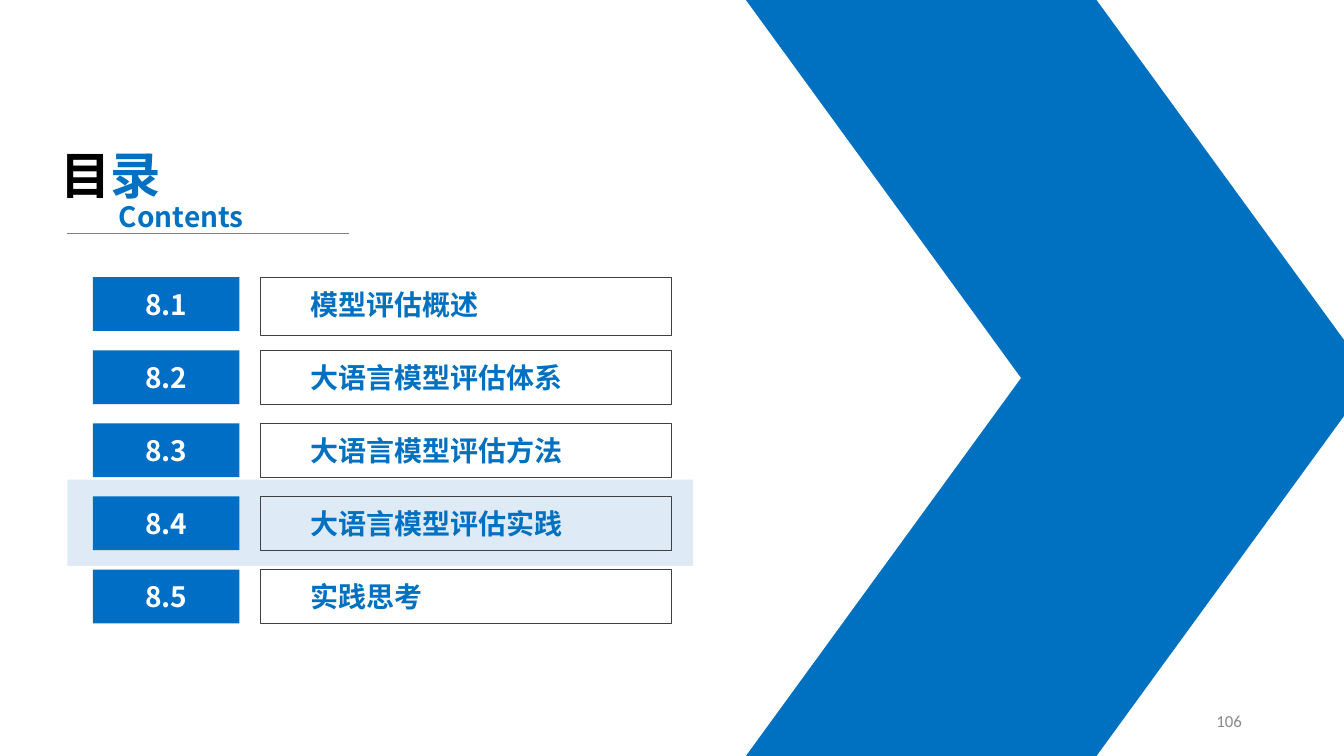
from lxml import etree
from pptx import Presentation
from pptx.dml.color import RGBColor
from pptx.enum.shapes import MSO_CONNECTOR, MSO_SHAPE
from pptx.enum.text import MSO_ANCHOR, MSO_AUTO_SIZE, PP_ALIGN
from pptx.oxml.ns import qn
from pptx.util import Pt

RECTANGLE, PARALLELOGRAM = MSO_SHAPE.RECTANGLE, MSO_SHAPE.PARALLELOGRAM
STRAIGHT = MSO_CONNECTOR.STRAIGHT
TOP, MIDDLE = MSO_ANCHOR.TOP, MSO_ANCHOR.MIDDLE
LEFT, CENTER, RIGHT = PP_ALIGN.LEFT, PP_ALIGN.CENTER, PP_ALIGN.RIGHT
NO_FIT = MSO_AUTO_SIZE.NONE

BLUE = RGBColor(0x00, 0x70, 0xC0)
NUMBER_BLUE = RGBColor(0x00, 0x6E, 0xC5)
PALE_BLUE = RGBColor(0xDE, 0xEB, 0xF7)
FRAME_GREY = RGBColor(0x40, 0x40, 0x40)
RULE_GREY = RGBColor(0x7F, 0x7F, 0x7F)
PAGE_GREY = RGBColor(0x89, 0x89, 0x89)
BLACK = RGBColor(0, 0, 0)
WHITE = RGBColor(255, 255, 255)

CHINESE_FONT, PAGE_FONT = "Noto Sans CJK SC", "Calibri"
CHAPTERS = ["模型评估概述", "大语言模型评估体系", "大语言模型评估方法", "大语言模型评估实践", "实践思考"]
CURRENT = 3
ROW_PITCH, ROW_HEIGHT = 52.2, 38.4


def points(box):
    """Convert a box of plain numbers to lengths in points."""
    return [Pt(value) for value in box]


def write(shape, spans, size, align=LEFT, bold=True, font=CHINESE_FONT, **frame_format):
    """Write one paragraph of (text, colour) spans into a shape."""
    frame = shape.text_frame
    settings = {"word_wrap": True, "auto_size": NO_FIT, "vertical_anchor": TOP, **frame_format}
    for name, value in settings.items():
        setattr(frame, name, value)
    para = frame.paragraphs[0]
    para.alignment = align
    for text, colour in spans:
        span = para.add_run()
        span.text = text
        for name, value in {"size": Pt(size), "bold": bold, "name": font}.items():
            setattr(span.font, name, value)
        span.font.color.rgb = colour
        east_asian = etree.SubElement(span.font._element, qn("a:ea"))
        east_asian.set("typeface", font)


def add_block(page, box, fill=None, line=None, kind=RECTANGLE):
    """Add a flat shape with an optional fill and outline."""
    shape = page.shapes.add_shape(kind, *points(box))
    shape.shadow.inherit = False
    if fill is None:
        shape.fill.background()
    else:
        shape.fill.solid()
        shape.fill.fore_color.rgb = fill
    if line is None:
        shape.line.fill.background()
    else:
        shape.line.color.rgb = line
        shape.line.width = Pt(0.75)
    return shape


def add_chevron(page, box):
    """Build the large arrow from two mirrored parallelograms."""
    left, top, width, height = box
    half = height / 2
    for offset, flipped in ((half, False), (0, True)):
        arm = add_block(page, (left, top + offset, width, half), BLUE, kind=PARALLELOGRAM)
        arm.adjustments[0] = 0.728
        if flipped:
            arm._element.spPr.find(qn("a:xfrm")).set("flipV", "1")


def add_heading(page, box):
    """Place the title, its subtitle and the rule below them."""
    left, top, width, height = box
    title = page.shapes.title
    title.left, title.top, title.width, title.height = points((left, top, 113, 51))
    write(title, [("目", BLACK), ("录", BLUE)], 36)
    subtitle = page.shapes.add_textbox(*points((left + 41.8, top + 39.5, 113, 31.5)))
    write(subtitle, [("Contents", BLUE)], 20)
    bottom = top + height
    rule = page.shapes.add_connector(STRAIGHT, *points((left + 12.2, bottom, left + width, bottom)))
    rule.line.color.rgb = RULE_GREY
    rule.line.width = Pt(0.5)
    etree.SubElement(rule._element.spPr, qn("a:effectLst"))


def add_chapter(page, box, number, name):
    """Place a chapter number and its framed name."""
    left, top, width, height = box
    chip = add_block(page, (left, top, 104.6, ROW_HEIGHT), NUMBER_BLUE)
    write(chip, [(number, WHITE)], 20, CENTER, vertical_anchor=MIDDLE)
    frame = add_block(page, (left + 119.5, top, width - 119.5, height), line=FRAME_GREY)
    write(frame, [(name, BLUE)], 20, margin_left=Pt(36), margin_top=Pt(7.2))


def add_chapters(page, box):
    """List the chapters in even rows and highlight the current one."""
    left, top, width, _ = box
    highlight_top = top + CURRENT * ROW_PITCH - 12
    add_block(page, (left - 18.2, highlight_top, width + 33.5, 61.7), PALE_BLUE)
    for index, name in enumerate(CHAPTERS):
        height = 42 if index == 0 else ROW_HEIGHT
        row = (left, top + index * ROW_PITCH, width, height)
        add_chapter(page, row, f"8.{index + 1}", name)


def add_page_number(page, box):
    """Place the page number at the right of its box."""
    number = page.shapes.add_textbox(*points(box))
    write(number, [("106", PAGE_GREY)], 12, RIGHT, False, PAGE_FONT, vertical_anchor=MIDDLE)


def main():
    """Build and save the contents page."""
    deck = Presentation()
    deck.slide_width, deck.slide_height = Pt(960), Pt(540)
    page = deck.slides.add_slide(deck.slide_layouts[5])
    add_chevron(page, (532.8, 0, 447, 540))
    add_heading(page, (36, 99.4, 213, 67.1))
    add_chapters(page, (66.4, 198, 413.4, 247.2))
    add_page_number(page, (678.2, 500.5, 216, 28.8))
    deck.save("out.pptx")


if __name__ == "__main__":
    main()
